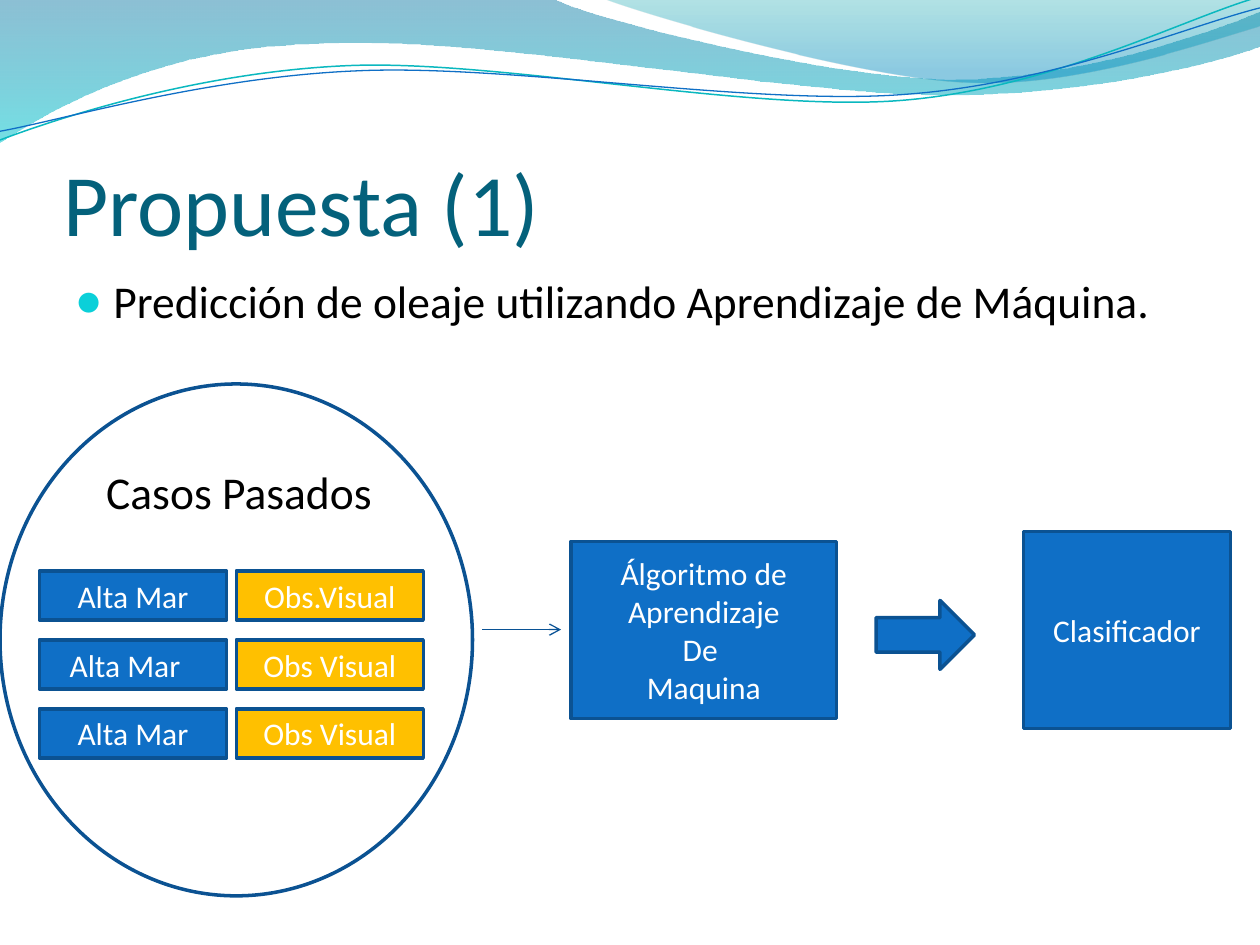
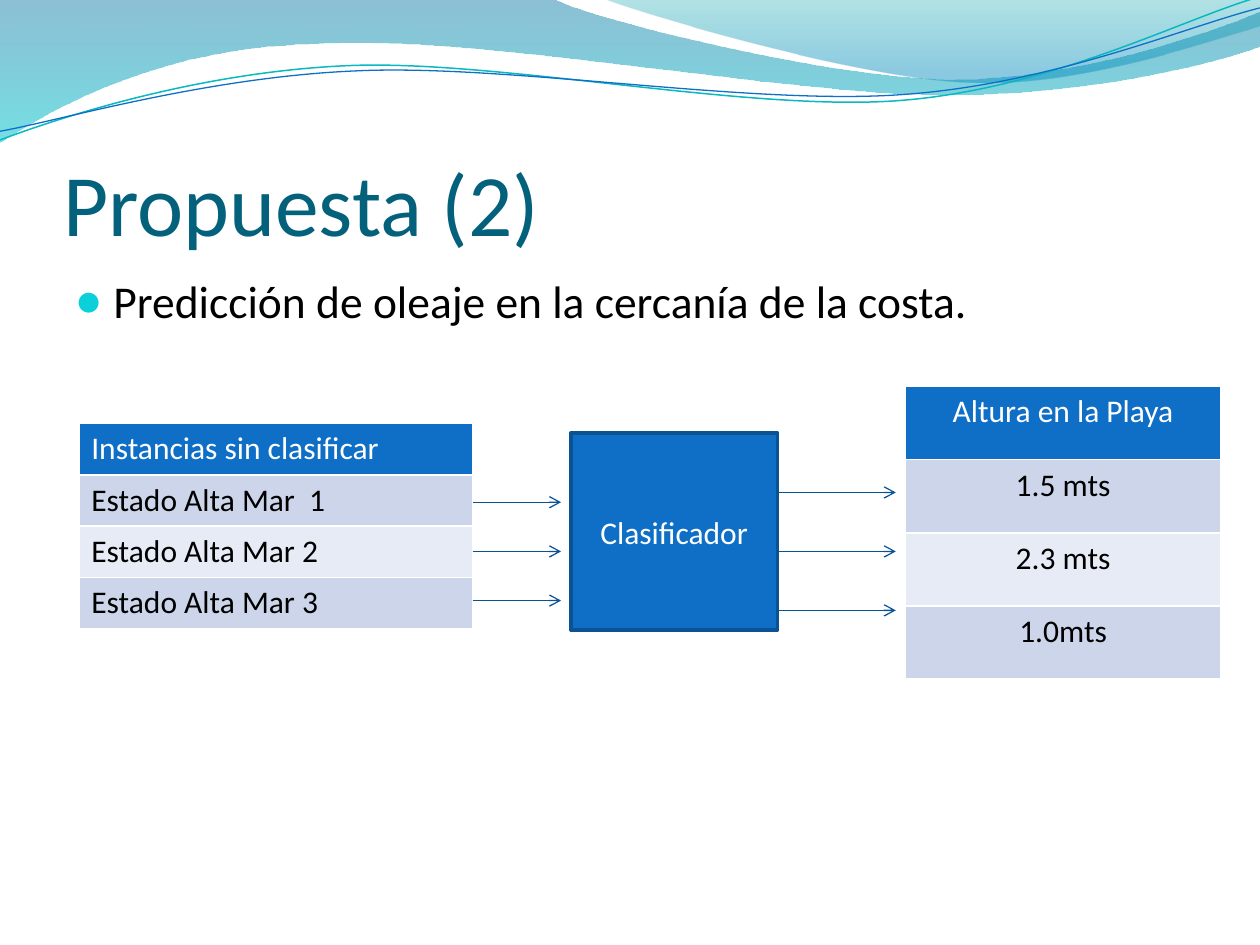
"""Build two slides that explain a wave forecast by machine learning."""
from dataclasses import dataclass
from itertools import chain
from typing import Any, Optional

from lxml.etree import SubElement as Sub
from pptx import Presentation
from pptx.dml.color import RGBColor as Rgb
from pptx.enum.shapes import MSO_CONNECTOR as Link, MSO_SHAPE as Form
from pptx.enum.text import MSO_ANCHOR as Anchor, MSO_AUTO_SIZE as Auto, PP_ALIGN as Align
from pptx.oxml.ns import qn
from pptx.util import Pt

BLUE = Rgb(0x0F, 0x6F, 0xC6)
EDGE = Rgb(0x0B, 0x52, 0x92)
WIRE = Rgb(0x09, 0x52, 0x95)
GOLD = Rgb(0xFF, 0xC0, 0x00)
TEAL = Rgb(0x04, 0x61, 0x7B)
DOT = Rgb(0x0B, 0xD0, 0xD9)
AQUA = Rgb(0x0A, 0xB8, 0xBF)
WHITE = Rgb(0xFF, 0xFF, 0xFF)
BLACK = Rgb(0x00, 0x00, 0x00)
DARK = Rgb(0xCC, 0xD5, 0xEA)
PALE = Rgb(0xE7, 0xEB, 0xF5)
FONT = "Calibri"
MID = 315.1


@dataclass(frozen=True)
class Stop:
    place: float
    tint: Rgb
    alpha: int


@dataclass(frozen=True)
class Wave:
    start: tuple[float, float]
    steps: tuple
    stops: tuple[Stop, ...] = ()
    line: Optional[Rgb] = None
    width: float = 0


@dataclass(frozen=True)
class Box:
    left: float
    top: float
    width: float
    height: float
    text: str = ""
    fill: Optional[Rgb] = BLUE
    form: Form = Form.RECTANGLE
    right: float = 7.2


@dataclass(frozen=True)
class Grid:
    left: float
    top: float
    width: float
    row: float
    align: Align
    rows: tuple[str, ...]


WAVES = (
    Wave((0, 0), (
        ((317, -0.5),),
        ((343, 12), (478, 45), (546, 45)),
        ((614, 45), (690, 19), (720, 6.5)),
        ((720.5, 26),),
        ((708, 32), (626, 55), (537, 54)),
        ((448, 54), (275, 20), (185, 24.5)),
        ((93, 26), (33, 60), (-0.5, 81.5)),
    ), (Stop(0, Rgb(0x00, 0x74, 0xA1), 45), Stop(1, Rgb(0x00, 0xC6, 0xCF), 55))),
    Wave((345, -0.5), (
        ((366, 8), (491, 45), (554, 47)),
        ((616, 50), (692, 23), (720, 15)),
        ((720, 0),),
    ), (Stop(0, Rgb(0x00, 0xA1, 0xA9), 30), Stop(0.8, Rgb(0x00, 0x8B, 0xBF), 45))),
    Wave((0, 80), (
        ((34.5, 67), (114, 41), (199.5, 37.5)),
        ((284.5, 34), (427, 64), (513.5, 57.5)),
        ((600, 51), (675.5, 11), (718.5, -1.5)),
    ), line=AQUA, width=0.85),
    Wave((0, 75), (
        ((34, 69), (118, 44), (204, 40.5)),
        ((290, 36.5), (430, 60.5), (516, 54)),
        ((602, 48), (678, 15), (720, 4.5)),
    ), line=BLUE, width=0.75),
)


def put(item: Any, **values: Any) -> None:
    """Set each named value on the item."""
    for key, value in values.items():
        setattr(item, key, value)


def style(para: Any, size: float, tint: Rgb, align: Align = Align.LEFT) -> None:
    """Format one paragraph."""
    para.alignment = align
    put(para.font, name=FONT, size=Pt(size), bold=False)
    para.font.color.rgb = tint


def place(shape: Any, left: float, top: float, width: float, height: float) -> None:
    """Move and size a shape in points."""
    put(shape, left=Pt(left), top=Pt(top), width=Pt(width), height=Pt(height))


def bend(shape: Any, steps: tuple) -> None:
    """Turn each run of three line segments of a curve step into one cubic curve."""
    lines = iter(list(shape.element.iter(qn("a:lnTo"))))
    for step in steps:
        parts = [next(lines) for _ in step]
        if len(parts) == 3:
            curve = parts[0].getparent().makeelement(qn("a:cubicBezTo"))
            parts[0].addprevious(curve)
            for part in parts:
                curve.append(part[0])
                part.getparent().remove(part)


def draw_wave(slide: Any, wave: Wave) -> Any:
    """Draw a filled band or an open line."""
    x, y = wave.start
    pen = slide.shapes.build_freeform(Pt(x), Pt(y))
    spots = [(Pt(a), Pt(b)) for a, b in chain(*wave.steps)]
    pen.add_line_segments(spots, close=bool(wave.stops))
    shape = pen.convert_to_shape()
    bend(shape, wave.steps)
    shape.shadow.inherit = False
    if wave.line is not None:
        shape.fill.background()
        shape.line.color.rgb = wave.line
        shape.line.width = Pt(wave.width)
        return shape
    shape.line.fill.background()
    shape.fill.gradient()
    shape.fill.gradient_angle = 270
    for mark, stop in zip(shape.fill.gradient_stops, wave.stops):
        mark.position = stop.place
        mark.color.rgb = stop.tint
    for tint, stop in zip(shape.element.iter(qn("a:srgbClr")), wave.stops):
        Sub(tint, qn("a:alpha"), val=str(stop.alpha * 1000))
    return shape


def share_waves(slide: Any) -> None:
    """Draw the waves once and move them to the master."""
    tree = slide.slide_layout.slide_master.shapes.element
    for index, wave in enumerate(WAVES):
        node = draw_wave(slide, wave).element
        node.xpath(".//p:cNvPr")[0].set("id", str(100 + index))
        tree.insert(2 + index, node)


def add_point(para: Any) -> None:
    """Give a paragraph the round bullet."""
    props = para._p.get_or_add_pPr()
    props.set("marL", str(Pt(21.6)))
    props.set("indent", str(Pt(-21.6)))
    Sub(Sub(props, qn("a:buClr")), qn("a:srgbClr"), val=str(DOT))
    Sub(props, qn("a:buSzPct"), val="95000")
    Sub(props, qn("a:buFont"), typeface=FONT)
    Sub(props, qn("a:buChar"), char="●")


def add_label(frame: Any, text: str) -> None:
    """Add a plain line below the bullet."""
    para = frame.add_paragraph()
    para.text = text
    style(para, 26, BLACK)
    props = para._p.get_or_add_pPr()
    props.set("marL", str(Pt(17.5)))
    props.set("indent", "0")
    Sub(props, qn("a:buNone"))
    para.space_before = Pt(77.8)


def start_slide(deck: Any, title: str, point: str) -> Any:
    """Add a slide with its title and its bullet."""
    slide = deck.slides.add_slide(deck.slide_layouts[1])
    head, body = slide.shapes.title, slide.placeholders[1]
    place(head, 36, 55.4, 648, 90)
    place(body, 36, 152.6, 648, 345.6)
    head.text, body.text = title, point
    put(head.text_frame, auto_size=Auto.NONE, vertical_anchor=Anchor.BOTTOM,
        margin_left=0, margin_top=Pt(3.6), margin_right=0, margin_bottom=0)
    body.text_frame.auto_size = Auto.NONE
    style(head.text_frame.paragraphs[0], 50, TEAL)
    first = body.text_frame.paragraphs[0]
    style(first, 26, BLACK)
    add_point(first)
    return slide


def draw_box(slide: Any, box: Box) -> None:
    """Draw a preset shape with centred text."""
    shape = slide.shapes.add_shape(
        box.form, Pt(box.left), Pt(box.top), Pt(box.width), Pt(box.height))
    shape.shadow.inherit = False
    if box.fill is None:
        shape.fill.background()
    else:
        shape.fill.solid()
        shape.fill.fore_color.rgb = box.fill
    shape.line.color.rgb = EDGE
    shape.line.width = Pt(2)
    if box.text:
        frame = shape.text_frame
        put(frame, text=box.text, word_wrap=True, vertical_anchor=Anchor.MIDDLE,
            margin_right=Pt(box.right))
        for para in frame.paragraphs:
            style(para, 18, WHITE, Align.CENTER)


def draw_arrow(slide: Any, start: float, end: float, y: float) -> None:
    """Draw a level arrow."""
    wire = slide.shapes.add_connector(Link.STRAIGHT, Pt(start), Pt(y), Pt(end), Pt(y))
    wire.line.color.rgb = WIRE
    wire.line.width = Pt(0.75)
    Sub(wire.line._get_or_add_ln(), qn("a:tailEnd"), type="arrow")
    Sub(wire.element.spPr, qn("a:effectLst"))


def draw_grid(slide: Any, grid: Grid) -> None:
    """Draw a table of one column with a header and banded rows."""
    count = len(grid.rows)
    table = slide.shapes.add_table(
        count, 1, Pt(grid.left), Pt(grid.top), Pt(grid.width), Pt(grid.row * count)).table
    for index, text in enumerate(grid.rows):
        table.rows[index].height = Pt(grid.row)
        cell = table.cell(index, 0)
        cell.text = text
        style(cell.text_frame.paragraphs[0], 18, BLACK if index else WHITE, grid.align)
        props = cell._tc.get_or_add_tcPr()
        for side in "LRTB":
            edge = Sub(props, qn(f"a:ln{side}"), w=str(Pt(1)))
            Sub(Sub(edge, qn("a:solidFill")), qn("a:srgbClr"), val=str(WHITE))
        cell.fill.solid()
        cell.fill.fore_color.rgb = (DARK if index % 2 else PALE) if index else BLUE


def build_train(deck: Any) -> None:
    """Build the slide on how the model is trained."""
    slide = start_slide(deck, "Propuesta (1)",
                        "Predicción de oleaje utilizando Aprendizaje de Máquina.")
    share_waves(slide)
    add_label(slide.placeholders[1].text_frame, "Casos Pasados")
    draw_box(slide, Box(326.2, 309.4, 151.9, 101.3,
                        "Álgoritmo de Aprendizaje\nDe \nMaquina"))
    draw_box(slide, Box(500.6, 343.1, 56.2, 39.4, form=Form.RIGHT_ARROW))
    draw_box(slide, Box(0, 219.4, 270, 292.5, fill=None, form=Form.OVAL))
    draw_arrow(slide, 275.6, 320.6, 359.8)
    for index, seen in enumerate(("Obs.Visual", "Obs Visual", "Obs Visual")):
        top = 326.2 + 39.4 * index
        draw_box(slide, Box(22.5, top, 106.9, 28.1, "Alta Mar",
                            right=16.2 if index == 1 else 7.2))
        draw_box(slide, Box(135, top, 106.9, 28.1, seen, GOLD))
    draw_box(slide, Box(585, 303.8, 118.1, 112.5, "Clasificador"))


def build_use(deck: Any) -> None:
    """Build the slide on how the model is used."""
    slide = start_slide(deck, "Propuesta (2)",
                        "Predicción de oleaje en la cercanía de la costa.")
    draw_grid(slide, Grid(45, 241.9, 225, 29.4, Align.LEFT, (
        "Instancias sin clasificar", "Estado Alta Mar  1",
        "Estado Alta Mar 2", "Estado Alta Mar 3")))
    draw_box(slide, Box(326.2, 247.5, 118.1, 112.5, "Clasificador"))
    draw_grid(slide, Grid(517.5, 220.9, 180, 41.8, Align.CENTER, (
        "Altura en la Playa", "1.5 mts", "2.3 mts", "1.0mts")))
    for row in (-1, 0, 1):
        draw_arrow(slide, 270, 320.6, MID + 28.1 * row)
        draw_arrow(slide, 444.3, 511.9, MID + 33.7 * row)


def main() -> None:
    """Build and save the deck."""
    deck = Presentation()
    put(deck, slide_width=Pt(720), slide_height=Pt(540))
    build_train(deck)
    build_use(deck)
    deck.save("out.pptx")


if __name__ == "__main__":
    main()
